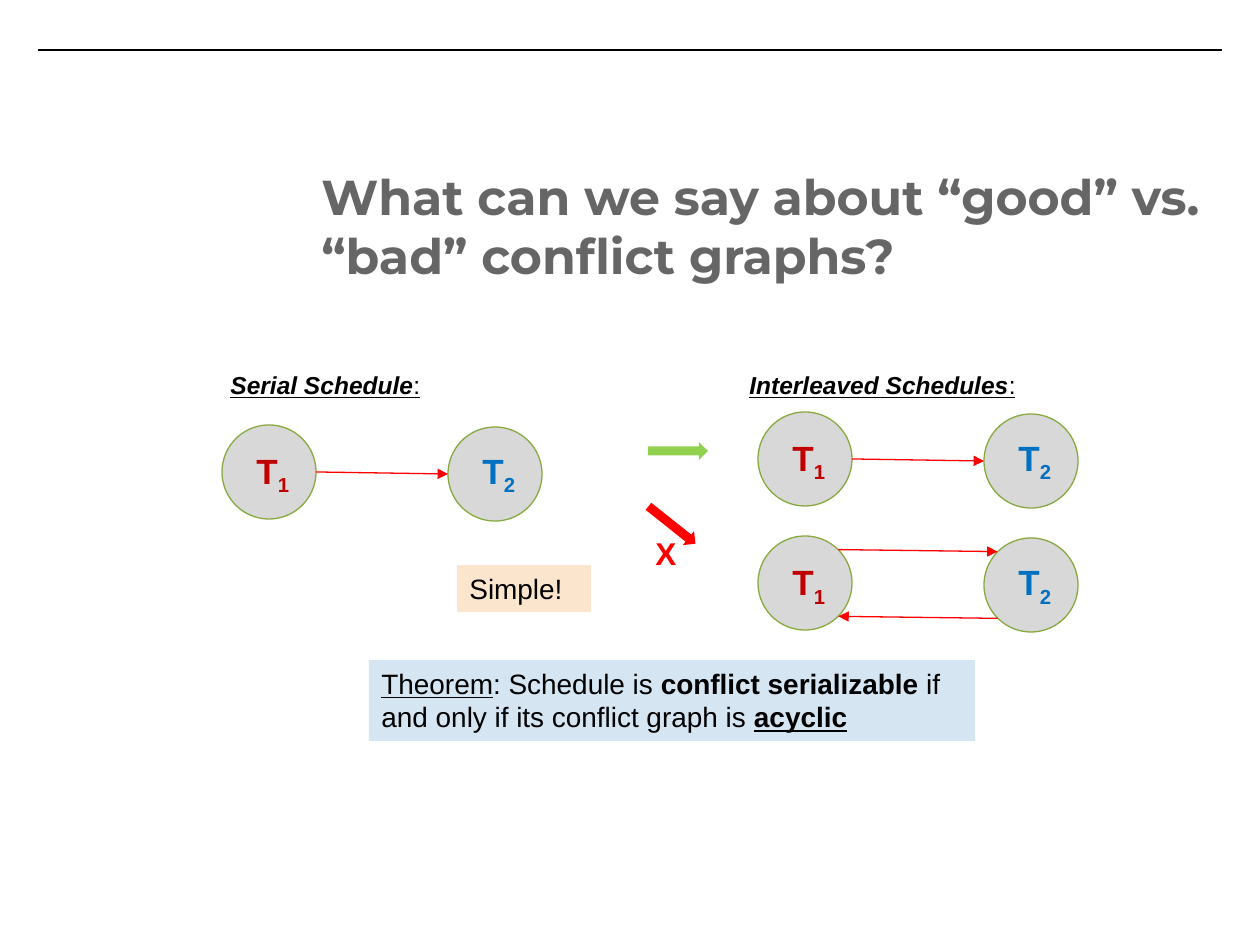
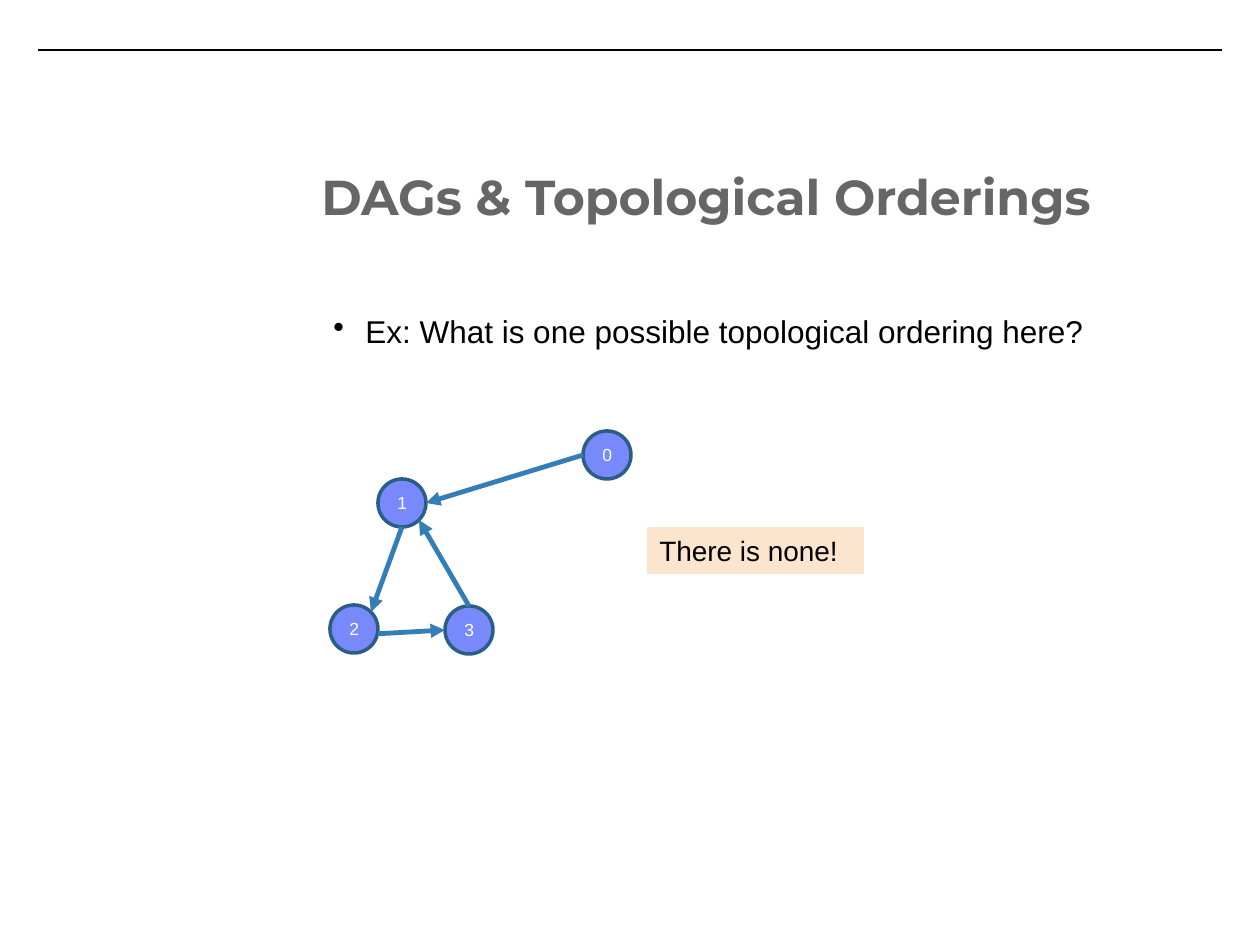
from dataclasses import dataclass

import lxml.etree
import pptx
import pptx.dml.color
import pptx.enum.shapes
import pptx.enum.text
import pptx.oxml.ns
import pptx.util

EMU_PER_PX = 914400 / 126
SHAPES = pptx.enum.shapes.MSO_SHAPE
DIAGONAL = 0.71  # share of the radius at 45 degrees


@dataclass(frozen=True)
class Theme:
    body_font: str = "Arial"
    title_font: str = "Montserrat"
    title_size: int = 28
    label_size: int = 20
    body_size: int = 18
    note_size: int = 16
    heading_size: int = 14
    node_size: int = 10
    black: str = "000000"
    white: str = "FFFFFF"
    title: str = "666666"
    answer: str = "FCE5CD"
    theorem: str = "D5E5F2"
    good: str = "92D050"
    bad: str = "FF0000"
    transaction: str = "D8D8D8"
    transaction_rim: str = "87A93D"
    first: str = "C00000"
    second: str = "0070C0"
    node: str = "7889FB"
    node_rim: str = "2A5E87"
    edge: str = "347EB8"


THEME = Theme()


def px(length):
    return pptx.util.Emu(round(length * EMU_PER_PX))


def rgb(color):
    return pptx.dml.color.RGBColor.from_string(color)


def style_run(run, size, color=THEME.black, font=THEME.body_font, bold=False,
              italic=False, underline=False):
    run.font.name = font
    run.font.size = pptx.util.Pt(size)
    run.font.color.rgb = rgb(color)
    run.font.bold = bold
    run.font.italic = italic
    run.font.underline = underline


def add_text(shapes, box, text, size, **style):
    frame = shapes.add_textbox(*map(px, box)).text_frame
    frame.word_wrap = True
    frame.text = text
    style_run(frame.paragraphs[0].runs[0], size, **style)
    return frame


def append_run(paragraph, text, size, **style):
    run = paragraph.add_run()
    run.text = text
    style_run(run, size, **style)
    return run


def add_filled(shapes, preset, box, fill, rim=None, rim_width=0.75):
    shape = shapes.add_shape(preset, *map(px, box))
    shape.shadow.inherit = False
    shape.fill.solid()
    shape.fill.fore_color.rgb = rgb(fill)
    if rim:
        shape.line.color.rgb = rgb(rim)
        shape.line.width = pptx.util.Pt(rim_width)
    else:
        shape.line.fill.background()
    return shape


def add_line(shapes, start, end, color, width=0.75, arrow=True):
    line = shapes.add_connector(pptx.enum.shapes.MSO_CONNECTOR.STRAIGHT,
                                *map(px, (*start, *end)))
    line.line.color.rgb = rgb(color)
    line.line.width = pptx.util.Pt(width)
    qn = pptx.oxml.ns.qn
    if arrow:
        lxml.etree.SubElement(line.line._get_or_add_ln(), qn("a:tailEnd"), type="triangle")
    lxml.etree.SubElement(line._element.spPr, qn("a:effectLst"))


def rim_point(corner, diameter, across, down):
    """Point off a circle's centre, in shares of its radius."""
    radius = diameter / 2
    return corner[0] + radius * (1 + across), corner[1] + radius * (1 + down)


def add_note(slide, box, fill, parts):
    """Filled box with text; parts are (text, style) pairs."""
    note = add_filled(slide.shapes, SHAPES.RECTANGLE, box, fill)
    frame = note.text_frame
    frame.word_wrap = True
    frame.vertical_anchor = pptx.enum.text.MSO_ANCHOR.TOP
    paragraph = frame.paragraphs[0]
    paragraph.alignment = pptx.enum.text.PP_ALIGN.LEFT
    for text, style in parts:
        append_run(paragraph, text, THEME.note_size, **style)


def add_titled_slide(deck, title):
    slide = deck.slides.add_slide(deck.slide_layouts[6])
    add_line(slide.shapes, (38, 50), (1222, 50), THEME.black, arrow=False)
    frame = add_text(slide.shapes, (309, 154, 921, 160), title, THEME.title_size,
                     color=THEME.title, font=THEME.title_font, bold=True)
    frame.margin_top = frame.margin_bottom = px(13)
    return slide


def add_heading(slide, box, text):
    frame = add_text(slide.shapes, box, text, THEME.heading_size,
                     bold=True, italic=True, underline=True)
    append_run(frame.paragraphs[0], ":", THEME.heading_size, underline=True)


def add_conflict_graph(slide, left, top, cyclic=False):
    diameter = 94
    group = slide.shapes.add_group_shape().shapes
    first, second = (left, top), (left + 226, top + 2)
    for corner, number, color in ((first, "1", THEME.first), (second, "2", THEME.second)):
        add_filled(group, SHAPES.OVAL, (*corner, diameter, diameter),
                   THEME.transaction, THEME.transaction_rim)
        frame = add_text(group, (corner[0] + 22, top + 18, 62, 55), "T",
                         THEME.label_size, color=color, bold=True)
        subscript = append_run(frame.paragraphs[0], number, THEME.label_size,
                               color=color, bold=True)
        subscript.font._element.set("baseline", "-25000")

    def add_conflict(source, target, across, down):
        add_line(group, rim_point(source, diameter, across, down),
                 rim_point(target, diameter, -across, down), THEME.bad)

    if cyclic:
        add_conflict(first, second, DIAGONAL, -DIAGONAL)
        add_conflict(second, first, -DIAGONAL, DIAGONAL)
    else:
        add_conflict(first, second, 1, 0)


def add_ordering_graph(slide):
    diameter = 48
    corners = {"1": (378, 479), "3": (445, 606), "2": (330, 605), "0": (583, 431)}
    edges = (
        ("0", (-1, 0), "1", (1, 0)),
        ("1", (0, 1), "2", (DIAGONAL, -DIAGONAL)),
        ("2", (1, 0.2), "3", (-1, 0)),
        ("3", (0, -1), "1", (DIAGONAL, DIAGONAL)),
    )
    for number, corner in corners.items():
        node = add_filled(slide.shapes, SHAPES.OVAL, (*corner, diameter, diameter),
                          THEME.node, THEME.node_rim, 2)
        frame = node.text_frame
        frame.text = number
        frame.vertical_anchor = pptx.enum.text.MSO_ANCHOR.MIDDLE
        frame.paragraphs[0].alignment = pptx.enum.text.PP_ALIGN.CENTER
        style_run(frame.paragraphs[0].runs[0], THEME.node_size, color=THEME.white)
    for source, leave, target, arrive in edges:
        add_line(slide.shapes, rim_point(corners[source], diameter, *leave),
                 rim_point(corners[target], diameter, *arrive), THEME.edge, 2.75)


def add_bullet(slide, box, text):
    frame = add_text(slide.shapes, box, text, THEME.body_size)
    properties = frame.paragraphs[0]._p.get_or_add_pPr()
    indent = px(32)
    properties.set("marL", str(indent))
    properties.set("indent", str(-indent))
    lxml.etree.SubElement(properties, pptx.oxml.ns.qn("a:buChar"), char="•")


def build_conflict_slide(deck):
    slide = add_titled_slide(deck, "What can we say about “good” vs. “bad” conflict graphs?")
    add_heading(slide, (218, 364, 220, 43), "Serial Schedule")
    add_heading(slide, (737, 364, 300, 43), "Interleaved Schedules")
    add_filled(slide.shapes, SHAPES.RIGHT_ARROW, (648, 442, 60, 18), THEME.good)
    bad_arrow = add_filled(slide.shapes, SHAPES.RIGHT_ARROW, (642, 516, 60, 18), THEME.bad)
    bad_arrow.rotation = 38.5
    add_text(slide.shapes, (643, 528, 50, 50), "X", THEME.body_size,
             color=THEME.bad, bold=True)
    add_conflict_graph(slide, 222, 425)
    add_conflict_graph(slide, 758, 412)
    add_conflict_graph(slide, 758, 536, cyclic=True)
    add_note(slide, (369, 660, 606, 81), THEME.theorem, (
        ("Theorem", {"underline": True}),
        (": Schedule is ", {}),
        ("conflict serializable ", {"bold": True}),
        ("if and only if its conflict graph is ", {}),
        ("acyclic", {"bold": True, "underline": True}),
    ))
    add_note(slide, (457, 565, 134, 47), THEME.answer, [("Simple!", {})])


def build_ordering_slide(deck):
    slide = add_titled_slide(deck, "DAGs & Topological Orderings")
    add_bullet(slide, (321, 306, 869, 450),
               "Ex: What is one possible topological ordering here?")
    add_ordering_graph(slide)
    add_note(slide, (647, 527, 217, 47), THEME.answer, [("There is none!", {})])


def main():
    deck = pptx.Presentation()
    deck.slide_width, deck.slide_height = px(1260), px(945)
    build_conflict_slide(deck)
    build_ordering_slide(deck)
    deck.save("out.pptx")


if __name__ == "__main__":
    main()
